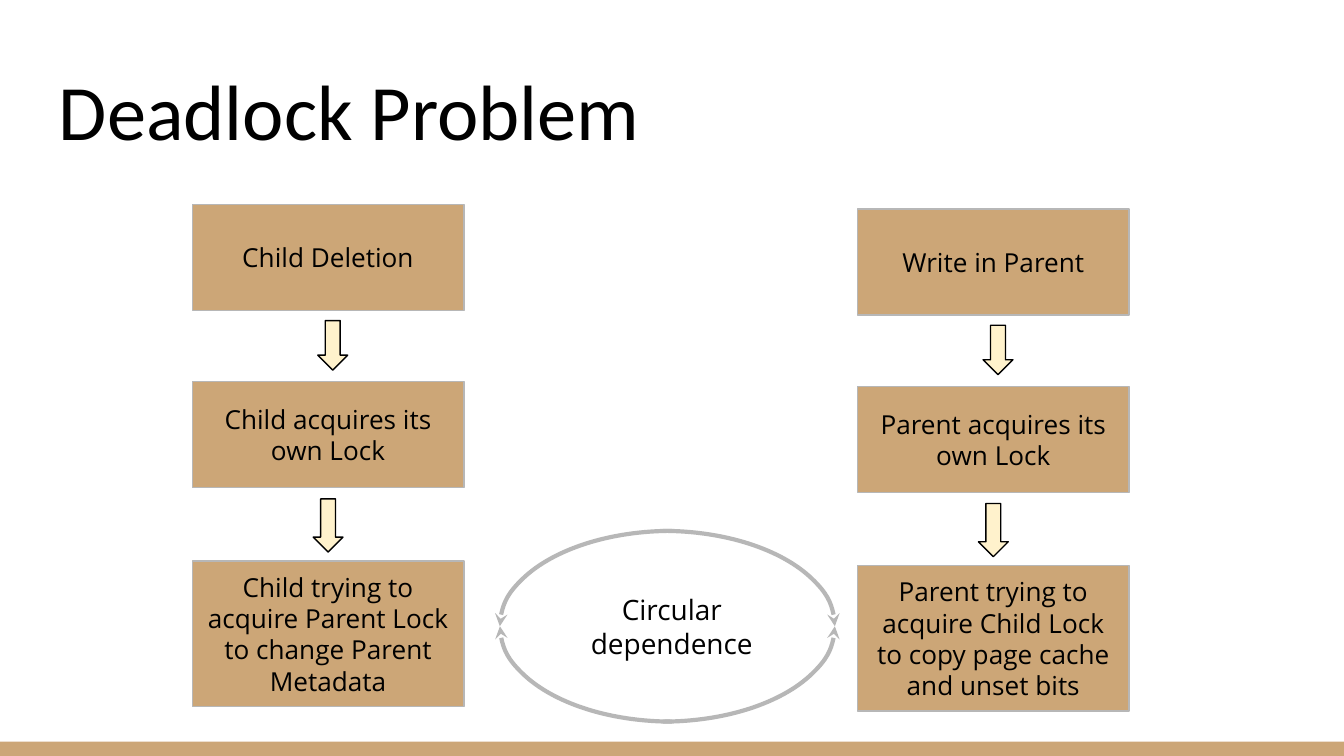
"""Build the Deadlock Problem slide with two lock chains and a circular dependence."""
from dataclasses import dataclass

import lxml.etree
import pptx
import pptx.dml.color
import pptx.enum.shapes
import pptx.enum.text
import pptx.oxml.ns
import pptx.util

Pt = pptx.util.Pt
ShapeType = pptx.enum.shapes.MSO_SHAPE
Anchor = pptx.enum.text.MSO_ANCHOR
Align = pptx.enum.text.PP_ALIGN


@dataclass(frozen=True)
class Theme:
    """Hold the colours, fonts and type sizes."""
    tan: str = "CCA677"
    cream: str = "FFF2CC"
    grey: str = "B7B7B7"
    black: str = "000000"
    title_font: str = "Calibri"
    body_font: str = "Open Sans"
    title_size: float = 42
    box_size: float = 14
    label_size: float = 15


THEME = Theme()
COLUMNS = [
    (103, 109.5, [
        "Child Deletion",
        "Child acquires its own Lock",
        "Child trying to acquire Parent Lock to change Parent Metadata",
    ]),
    (459.4, 112, [
        "Write in Parent",
        "Parent acquires its own Lock",
        "Parent trying to acquire Child Lock to copy page cache and unset bits",
    ]),
]
BOX_WIDTH = 145.5
BOX_ROWS = [(0, 56.75), (95, 56.75), (191, 78)]
ARROWS = [(62, 67.5, 26.5), (58.5, 164, 28.5)]
ARROW_HEIGHT = 16
ARC_LEFT, ARC_RIGHT = 263, 267.8
ARCS = [
    (ARC_LEFT, 0, False),
    (ARC_RIGHT, 0, True),
    (ARC_RIGHT, 180, False),
    (ARC_LEFT, 180, True),
]


def rgb(colour):
    """Return a colour object for a hex string."""
    return pptx.dml.color.RGBColor.from_string(colour)


def add_shape(slide, kind, place, fill=None, line=None, weight=0.75):
    """Add a flat preset shape with optional fill and outline."""
    shape = slide.shapes.add_shape(kind, *map(Pt, place))
    shape.shadow.inherit = False
    if fill:
        shape.fill.solid()
        shape.fill.fore_color.rgb = rgb(fill)
    else:
        shape.fill.background()
    if line:
        shape.line.color.rgb = rgb(line)
        shape.line.width = Pt(weight)
    else:
        shape.line.fill.background()
    return shape


def write_text(shape, text, size, font, anchor, align):
    """Write one styled paragraph into a shape."""
    frame = shape.text_frame
    frame.word_wrap = True
    frame.vertical_anchor = anchor
    frame.margin_left = frame.margin_right = Pt(7.2)
    frame.margin_top = frame.margin_bottom = Pt(7.2)
    paragraph = frame.paragraphs[0]
    paragraph.text = text
    paragraph.alignment = align
    paragraph.font.size = Pt(size)
    paragraph.font.name = font
    paragraph.font.color.rgb = rgb(THEME.black)


def add_text(slide, place, *style):
    """Add a text box with one styled paragraph."""
    write_text(slide.shapes.add_textbox(*map(Pt, place)), *style)


def add_column(slide, left, top, steps):
    """Add a chain of step boxes joined by block arrows."""
    for (offset, height), step in zip(BOX_ROWS, steps):
        box = add_shape(slide, ShapeType.RECTANGLE,
                        (left, top + offset, BOX_WIDTH, height),
                        THEME.tan, THEME.grey)
        write_text(box, step, THEME.box_size, THEME.body_font,
                   Anchor.MIDDLE, Align.CENTER)
    for indent, offset, length in ARROWS:
        arrow = add_shape(slide, ShapeType.RIGHT_ARROW,
                          (left + indent, top + offset, length, ARROW_HEIGHT),
                          THEME.cream, THEME.black)
        arrow.rotation = 90


def add_arc(slide, left, rotation, flipped):
    """Add a quarter arc that ends in a stealth arrowhead."""
    arc = add_shape(slide, ShapeType.ARC, (left, 284.4, 184.3, 102.2),
                    line=THEME.grey, weight=2.25)
    arc.rotation = rotation
    properties = arc._element.spPr
    if flipped:
        properties.get_or_add_xfrm().set("flipH", "1")
    outline = properties.find(pptx.oxml.ns.qn("a:ln"))
    lxml.etree.SubElement(outline, pptx.oxml.ns.qn("a:tailEnd"), type="stealth")


def main():
    """Build and save the presentation."""
    presentation = pptx.Presentation()
    presentation.slide_width, presentation.slide_height = Pt(720), Pt(405)
    slide = presentation.slides.add_slide(presentation.slide_layouts[6])
    add_shape(slide, ShapeType.RECTANGLE, (0, 397.4, 720, 7.6), THEME.tan)
    add_text(slide, (24.5, 25.2, 671, 65.5), "Deadlock Problem",
             THEME.title_size, THEME.title_font, Anchor.BOTTOM, Align.LEFT)
    for column in COLUMNS:
        add_column(slide, *column)
    for arc in ARCS:
        add_arc(slide, *arc)
    add_text(slide, (296.6, 310.3, 126.7, 49.7), "Circular dependence",
             THEME.label_size, THEME.body_font, Anchor.TOP, Align.CENTER)
    presentation.save("out.pptx")


if __name__ == "__main__":
    main()
